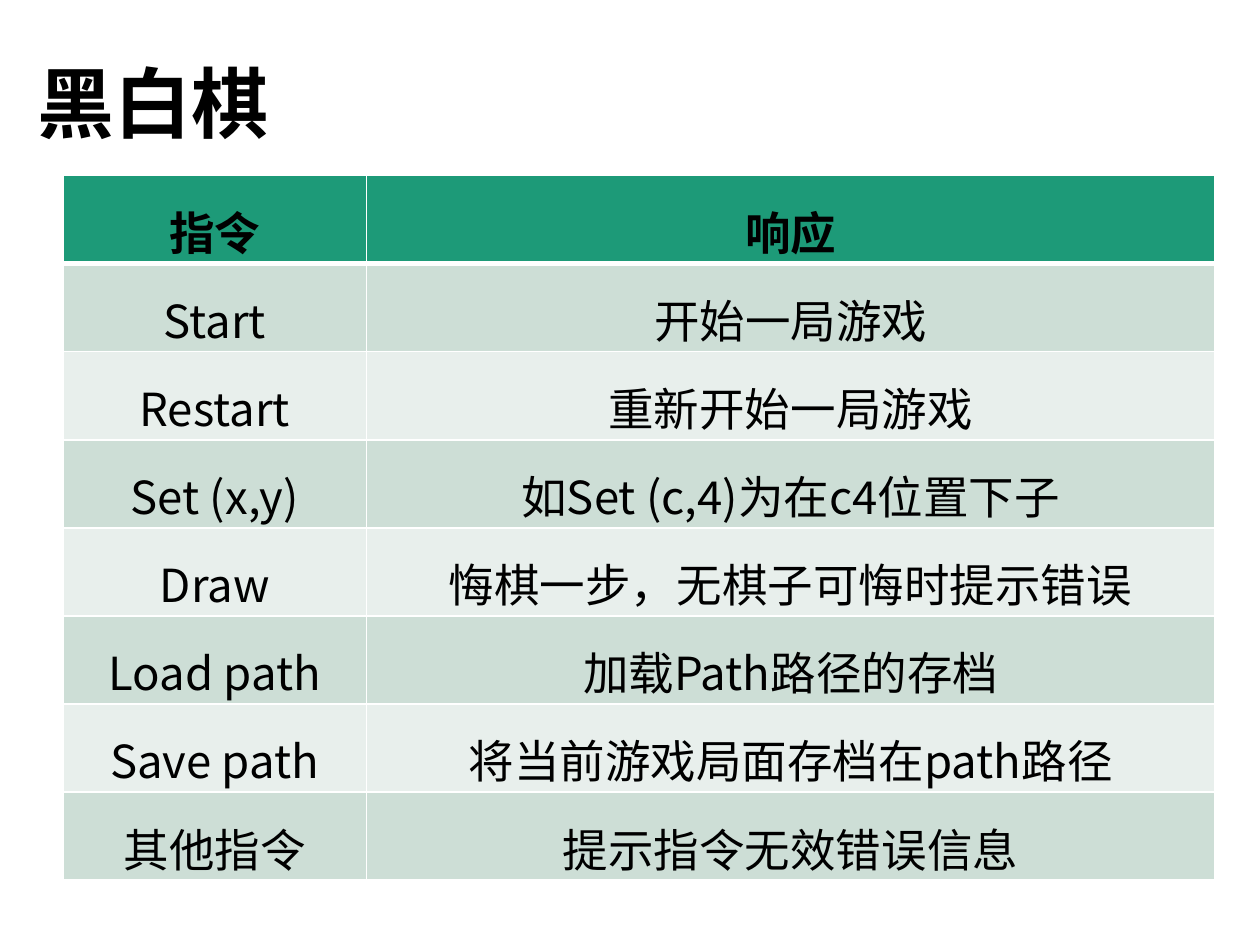
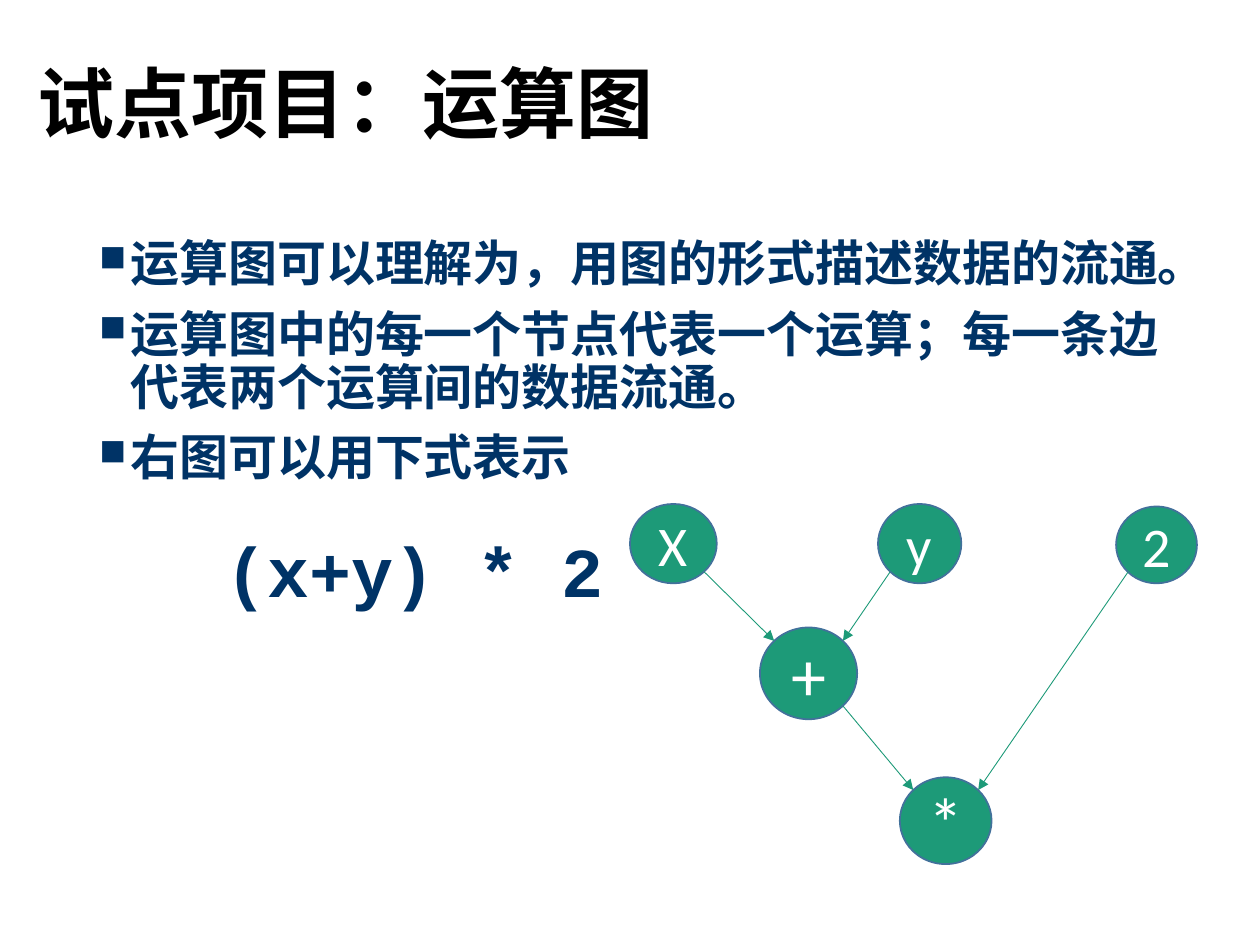
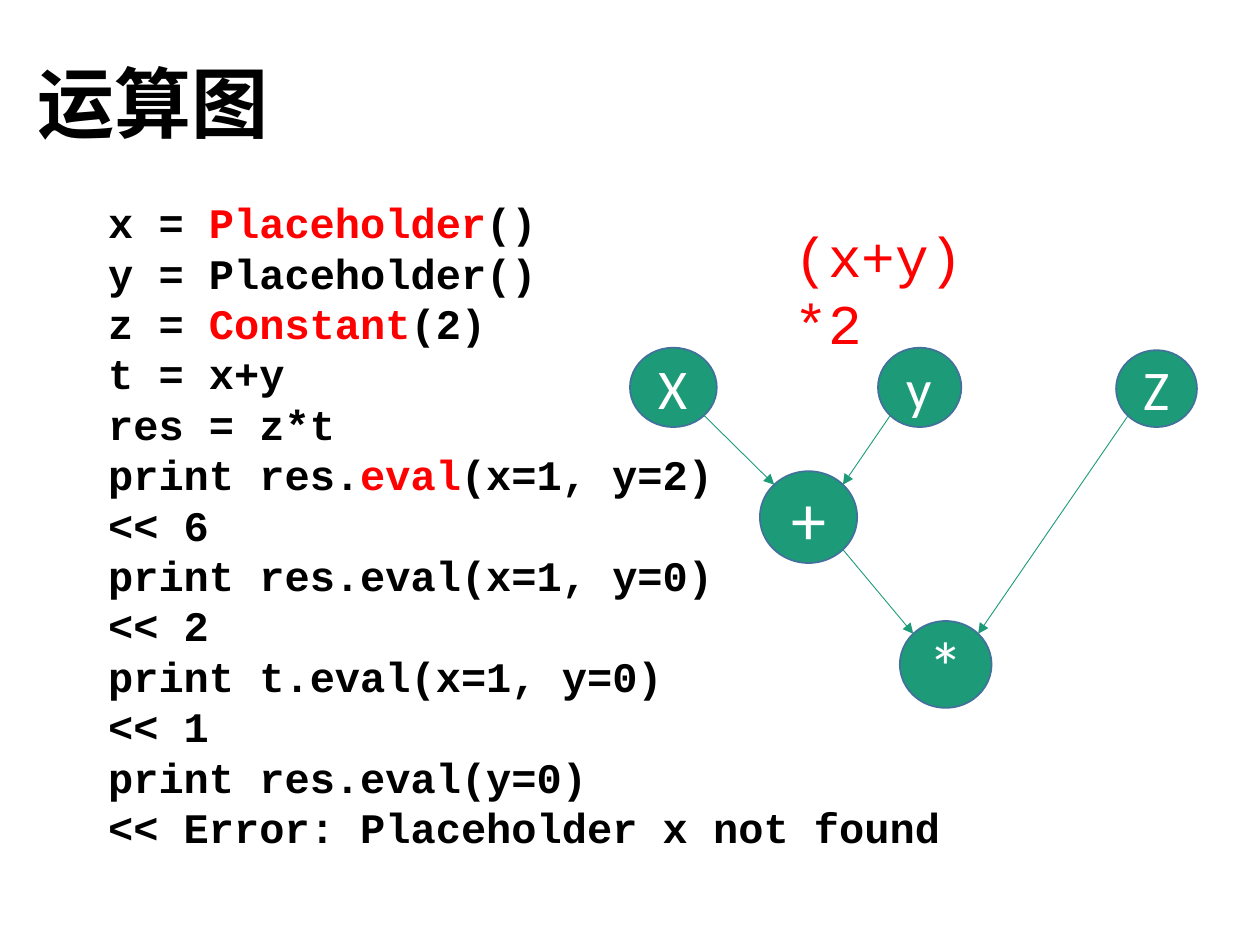
import math
from dataclasses import dataclass

from lxml import etree
from pptx import Presentation
from pptx import util as u
from pptx.dml.color import RGBColor
from pptx.enum import shapes, text
from pptx.oxml.ns import qn

COLORS = {
    "ink": "000000",
    "white": "FFFFFF",
    "navy": "003366",
    "red": "FF0000",
    "green": "1D9A78",
    "node_edge": "42719B",
    "band_dark": "CDDED6",
    "band_light": "E8EFEC",
}
CJK = "Noto Sans CJK SC"
MONO = "Courier New"
NODE_FONT = "Calibri"


@dataclass(frozen=True)
class Style:
    font: str
    size: float
    color: str
    bold: bool = False


@dataclass(frozen=True)
class Box:
    left: float
    top: float
    width: float
    height: float

    def lengths(self) -> tuple:
        return tuple(u.Cm(v) for v in (self.left, self.top, self.width, self.height))

    def diagonal_point(self, x_sign: int, y_sign: int) -> tuple:
        """Point at 45 degrees on the ellipse inscribed in the box."""
        reach = math.sqrt(0.5)
        return (u.Cm(self.left + self.width / 2 * (1 + x_sign * reach)),
                u.Cm(self.top + self.height / 2 * (1 + y_sign * reach)))


@dataclass(frozen=True)
class Node:
    box: Box
    size: float = 32


@dataclass(frozen=True)
class Edge:
    source: str
    target: str
    direction: int  # 1 runs to the right, -1 to the left


TITLE = Style(CJK, 44, "ink", True)
HEADER = Style(CJK, 26, "ink", True)
BODY_CELL = Style(CJK, 26, "ink")
BULLET = Style(MONO, 28, "navy", True)
FORMULA = Style(MONO, 40, "navy", True)
CODE = Style(MONO, 24, "ink", True)
RED_FORMULA = Style(MONO, 32, "red")

COMMANDS = [
    ("指令", "响应"),
    ("Start", "开始一局游戏"),
    ("Restart", "重新开始一局游戏"),
    ("Set (x,y)", "如Set (c,4)为在c4位置下子"),
    ("Draw", "悔棋一步，无棋子可悔时提示错误"),
    ("Load path", "加载Path路径的存档"),
    ("Save path", "将当前游戏局面存档在path路径"),
    ("其他指令", "提示指令无效错误信息"),
]
GRAPH_POINTS = [
    "运算图可以理解为，用图的形式描述数据的流通。",
    "运算图中的每一个节点代表一个运算；每一条边代表两个运算间的数据流通。",
    "右图可以用下式表示",
]
# Parts between bars are highlighted.
CODE_LINES = [
    "x = |Placeholder|()",
    "y = Placeholder()",
    "z = |Constant|(2)",
    "t = x+y",
    "res = z*t",
    "print res.|eval|(x=1, y=2)",
    "<< 6",
    "print res.eval(x=1, y=0)",
    "<< 2",
    "print t.eval(x=1, y=0)",
    "<< 1",
    "print res.eval(y=0)",
    "<< Error: Placeholder x not found",
]
# Tops are measured from the top of the graph.
NODES = {
    "x": Node(Box(12.7, 0, 1.75, 1.6)),
    "y": Node(Box(17.7, 0, 1.68, 1.6)),
    "factor": Node(Box(22.5, 0.05, 1.63, 1.55)),
    "sum": Node(Box(15.32, 2.49, 1.96, 1.85), 40),
    "product": Node(Box(18.14, 5.51, 1.85, 1.75), 40),
}
EDGES = [
    Edge("x", "sum", 1),
    Edge("y", "sum", -1),
    Edge("factor", "product", -1),
    Edge("sum", "product", 1),
]


def rgb(name: str) -> RGBColor:
    return RGBColor.from_string(COLORS[name])


def apply_style(paragraph, style: Style) -> None:
    font = paragraph.font
    font.name = style.font
    font.size = u.Pt(style.size)
    font.bold = style.bold
    font.color.rgb = rgb(style.color)
    latin = paragraph._p.pPr.find(qn("a:defRPr")).find(qn("a:latin"))
    east_asian = etree.Element(qn("a:ea"), typeface=CJK)
    latin.addnext(east_asian)


def add_text_frame(slide, box: Box):
    frame = slide.shapes.add_textbox(*box.lengths()).text_frame
    frame.word_wrap = True
    return frame


def next_paragraph(frame, index: int):
    return frame.add_paragraph() if index else frame.paragraphs[0]


def add_titled_slide(deck, heading: str):
    slide = deck.slides.add_slide(deck.slide_layouts[6])
    frame = add_text_frame(slide, Box(0.5, 0.33, 21.9, 3.68))
    frame.vertical_anchor = text.MSO_ANCHOR.MIDDLE
    title = frame.paragraphs[0]
    title.text = heading
    title.line_spacing = 0.9
    apply_style(title, TITLE)
    return slide


def add_borders(cell, bottom_width: float) -> None:
    properties = cell._tc.get_or_add_tcPr()
    for side, width in (("L", 1), ("R", 1), ("T", 1), ("B", bottom_width)):
        line = etree.SubElement(properties, qn(f"a:ln{side}"), w=str(u.Pt(width)))
        fill = etree.SubElement(line, qn("a:solidFill"))
        etree.SubElement(fill, qn("a:srgbClr"), val=COLORS["white"])


def add_command_table(slide) -> None:
    area = Box(1.27, 3.54, 23.22, 14.2)
    table = slide.shapes.add_table(len(COMMANDS), 2, *area.lengths()).table
    table.horz_banding = False
    for column, width in zip(table.columns, (6.12, 17.1)):
        column.width = u.Cm(width)
    for r, row in enumerate(COMMANDS):
        is_header = r == 0
        band = "green" if is_header else ("band_light", "band_dark")[r % 2]
        for c, words in enumerate(row):
            cell = table.cell(r, c)
            add_borders(cell, 3 if is_header else 1)
            cell.fill.solid()
            cell.fill.fore_color.rgb = rgb(band)
            cell.margin_left = cell.margin_right = cell.margin_top = u.Cm(0.03)
            cell.margin_bottom = 0
            cell.vertical_anchor = text.MSO_ANCHOR.BOTTOM
            paragraph = cell.text_frame.paragraphs[0]
            paragraph.text = words
            paragraph.alignment = text.PP_ALIGN.CENTER
            apply_style(paragraph, HEADER if is_header else BODY_CELL)


def set_indent(paragraph, margin: float, first_line: float = 0) -> None:
    properties = paragraph._p.get_or_add_pPr()
    properties.set("marL", str(u.Cm(margin)))
    properties.set("indent", str(u.Cm(first_line)))


def add_square_bullet(paragraph) -> None:
    properties = paragraph._p.get_or_add_pPr()
    etree.SubElement(properties, qn("a:buSzPct"), val="75000")
    etree.SubElement(properties, qn("a:buChar"), char="■")


def add_explanation(slide) -> None:
    frame = add_text_frame(slide, Box(1.75, 4.7, 21.9, 12.09))
    for i, point in enumerate(GRAPH_POINTS):
        paragraph = next_paragraph(frame, i)
        paragraph.text = point
        paragraph.line_spacing = 0.9
        if i:
            paragraph.space_before = u.Pt(10)
        set_indent(paragraph, 0.63, -0.63)
        add_square_bullet(paragraph)
        apply_style(paragraph, BULLET)
    formula = frame.add_paragraph()
    formula.text = "(x+y) * 2"
    formula.line_spacing = 0.9
    formula.space_before = u.Pt(29)
    set_indent(formula, 2.54)
    apply_style(formula, FORMULA)


def add_node(slide, box: Box, label: str, size: float) -> None:
    ellipse = slide.shapes.add_shape(shapes.MSO_SHAPE.OVAL, *box.lengths())
    ellipse.shadow.inherit = False
    ellipse.fill.solid()
    ellipse.fill.fore_color.rgb = rgb("green")
    ellipse.line.color.rgb = rgb("node_edge")
    ellipse.line.width = u.Pt(1)
    frame = ellipse.text_frame
    frame.word_wrap = False
    frame.vertical_anchor = text.MSO_ANCHOR.MIDDLE
    frame.margin_left = frame.margin_right = frame.margin_top = frame.margin_bottom = 0
    paragraph = frame.paragraphs[0]
    paragraph.text = label
    paragraph.alignment = text.PP_ALIGN.CENTER
    apply_style(paragraph, Style(NODE_FONT, size, "white"))


def add_arrow(slide, start: tuple, end: tuple) -> None:
    arrow = slide.shapes.add_connector(shapes.MSO_CONNECTOR.STRAIGHT, *start, *end)
    arrow.line.color.rgb = rgb("green")
    arrow.line.width = u.Pt(0.5)
    etree.SubElement(arrow.line._get_or_add_ln(), qn("a:tailEnd"), type="triangle")
    etree.SubElement(arrow._element.spPr, qn("a:effectLst"))


def add_graph(slide, top: float, factor_label: str) -> None:
    """Draw the graph of (x + y) * factor."""
    labels = {"x": "X", "y": "y", "factor": factor_label, "sum": "+", "product": "*"}
    boxes = {}
    for key, node in NODES.items():
        place = node.box
        boxes[key] = Box(place.left, top + place.top, place.width, place.height)
        add_node(slide, boxes[key], labels[key], node.size)
    for edge in EDGES:
        add_arrow(slide,
                  boxes[edge.source].diagonal_point(edge.direction, 1),
                  boxes[edge.target].diagonal_point(-edge.direction, -1))


def add_code(slide) -> None:
    frame = add_text_frame(slide, Box(1.93, 3.84, 22.2, 13.59))
    for i, code_line in enumerate(CODE_LINES):
        paragraph = next_paragraph(frame, i)
        apply_style(paragraph, CODE)
        for j, part in enumerate(code_line.split("|")):
            run = paragraph.add_run()
            run.text = part
            if j % 2:
                run.font.color.rgb = rgb("red")


def add_red_formula(slide) -> None:
    formula = add_text_frame(slide, Box(15.77, 4.34, 4.45, 1.63)).paragraphs[0]
    formula.text = "(x+y)*2"
    apply_style(formula, RED_FORMULA)


def main() -> None:
    deck = Presentation()
    deck.slide_width, deck.slide_height = u.Cm(25.4), u.Cm(19.05)

    add_command_table(add_titled_slide(deck, "黑白棋"))

    pilot = add_titled_slide(deck, "试点项目：运算图")
    add_explanation(pilot)
    add_graph(pilot, 10.16, "2")

    usage = add_titled_slide(deck, "运算图")
    add_graph(usage, 7.01, "Z")
    add_code(usage)
    add_red_formula(usage)

    deck.save("out.pptx")


if __name__ == "__main__":
    main()
